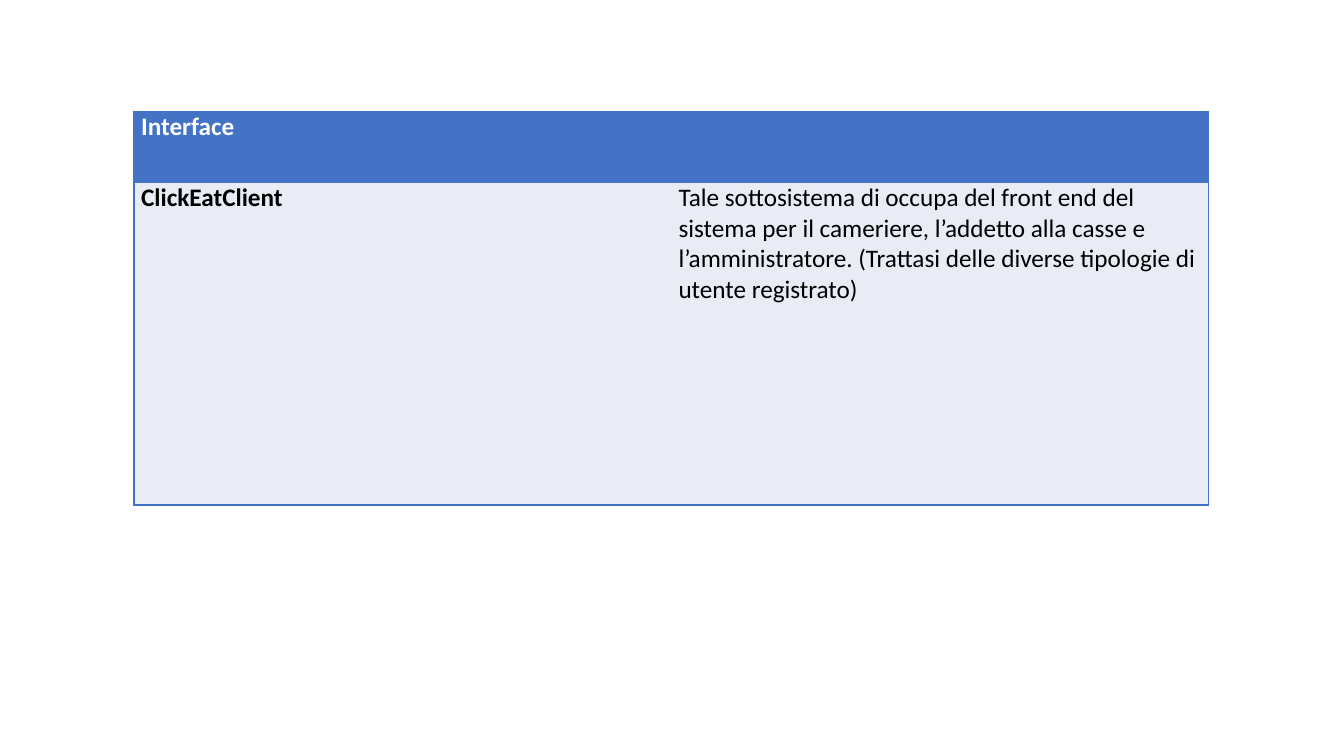
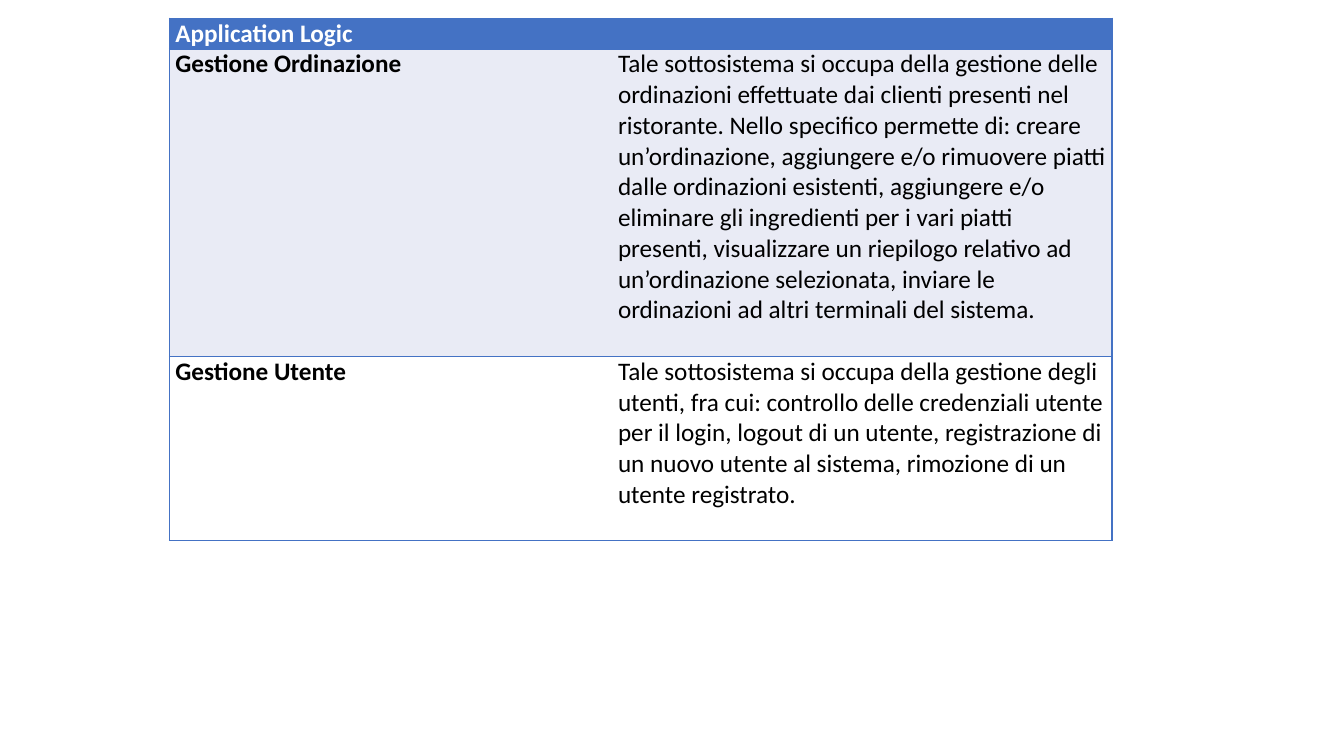
from dataclasses import dataclass

from lxml import etree
from pptx import Presentation
from pptx.dml.color import RGBColor
from pptx.oxml.ns import qn
from pptx.util import Inches, Pt

BLUE, PALE, WHITE, BLACK = "4472C4", "E9EBF5", "FFFFFF", "000000"
FONT, SIZE = "Calibri", 18
BLANK_LAYOUT = 6


@dataclass
class Subsystem:
    name: str
    description: str
    height: float


@dataclass
class Layer:
    title: str
    left: float
    top: float
    col_widths: tuple[float, float]
    header_height: float
    margin: float
    subsystems: list[Subsystem]


LAYERS = [
    Layer("Interface", 1.33, 1.11, (5.33, 5.33), 0.7, 0.07, [
        Subsystem(
            "ClickEatClient",
            "Tale sottosistema di occupa del front end del sistema per il "
            "cameriere, l’addetto alla casse e l’amministratore. (Trattasi "
            "delle diverse tipologie di utente registrato)", 3.2),
    ]),
    Layer("Application Logic", 1.68, 0.18, (4.39, 4.96), 0.3, 0.06, [
        Subsystem(
            "Gestione Ordinazione",
            "Tale sottosistema si occupa della gestione delle ordinazioni "
            "effettuate dai clienti presenti nel ristorante. Nello specifico "
            "permette di: creare un’ordinazione, aggiungere e/o rimuovere "
            "piatti dalle ordinazioni esistenti, aggiungere e/o eliminare gli "
            "ingredienti per i vari piatti presenti, visualizzare un riepilogo "
            "relativo ad un’ordinazione selezionata, inviare le ordinazioni ad "
            "altri terminali del sistema.", 3.05),
        Subsystem(
            "Gestione Utente",
            "Tale sottosistema si occupa della gestione degli utenti, fra cui: "
            "controllo delle credenziali utente per il login, logout di un "
            "utente, registrazione di un nuovo utente al sistema, rimozione di "
            "un utente registrato.", 1.83),
    ]),
]


def rgb(color: str) -> RGBColor:
    return RGBColor.from_string(color)


def set_borders(cell, edges: str) -> None:
    """Draw the named edges (L, R, T, B) in blue and hide the others."""
    tc_pr = cell._tc.get_or_add_tcPr()
    for i, edge in enumerate("LRTB"):
        ln = etree.Element(qn(f"a:ln{edge}"), w=str(Pt(1)))
        if edge in edges:
            fill = etree.SubElement(ln, qn("a:solidFill"))
            etree.SubElement(fill, qn("a:srgbClr"), val=BLUE)
        else:
            etree.SubElement(ln, qn("a:noFill"))
        tc_pr.insert(i, ln)


def style_cell(cell, text: str, fill: str, color: str, bold: bool,
               margin: float, edges: str) -> None:
    cell.fill.solid()
    cell.fill.fore_color.rgb = rgb(fill)
    cell.margin_left = cell.margin_right = Inches(margin)
    cell.margin_top = cell.margin_bottom = 0
    p = cell.text_frame.paragraphs[0]
    p.text = text
    p.font.name, p.font.size, p.font.bold = FONT, Pt(SIZE), bold
    p.font.color.rgb = rgb(color)
    set_borders(cell, edges)


def add_layer_table(s, layer: Layer) -> None:
    heights = [layer.header_height] + [sub.height for sub in layer.subsystems]
    table = s.shapes.add_table(
        len(heights), 2, Inches(layer.left), Inches(layer.top),
        Inches(sum(layer.col_widths)), Inches(sum(heights))).table
    table.first_row = table.horz_banding = False
    for col, width in zip(table.columns, layer.col_widths):
        col.width = Inches(width)
    for row, height in zip(table.rows, heights):
        row.height = Inches(height)

    # Header across both columns
    for i, (text, edges) in enumerate(((layer.title, "LRTB"), ("", "RTB"))):
        style_cell(table.cell(0, i), text, BLUE, WHITE, True,
                   layer.margin, edges)
    table.cell(0, 0).merge(table.cell(0, 1))

    # One row per subsystem, alternately shaded
    for i, sub in enumerate(layer.subsystems, 1):
        fill = PALE if i % 2 else WHITE
        style_cell(table.cell(i, 0), sub.name, fill, BLACK, True,
                   layer.margin, "LTB")
        style_cell(table.cell(i, 1), sub.description, fill, BLACK, False,
                   layer.margin, "RTB")


def main() -> None:
    prs = Presentation()
    prs.slide_width, prs.slide_height = Inches(13.33), Inches(7.5)
    for layer in LAYERS:
        s = prs.slides.add_slide(prs.slide_layouts[BLANK_LAYOUT])
        add_layer_table(s, layer)
    prs.save("out.pptx")


if __name__ == "__main__":
    main()
